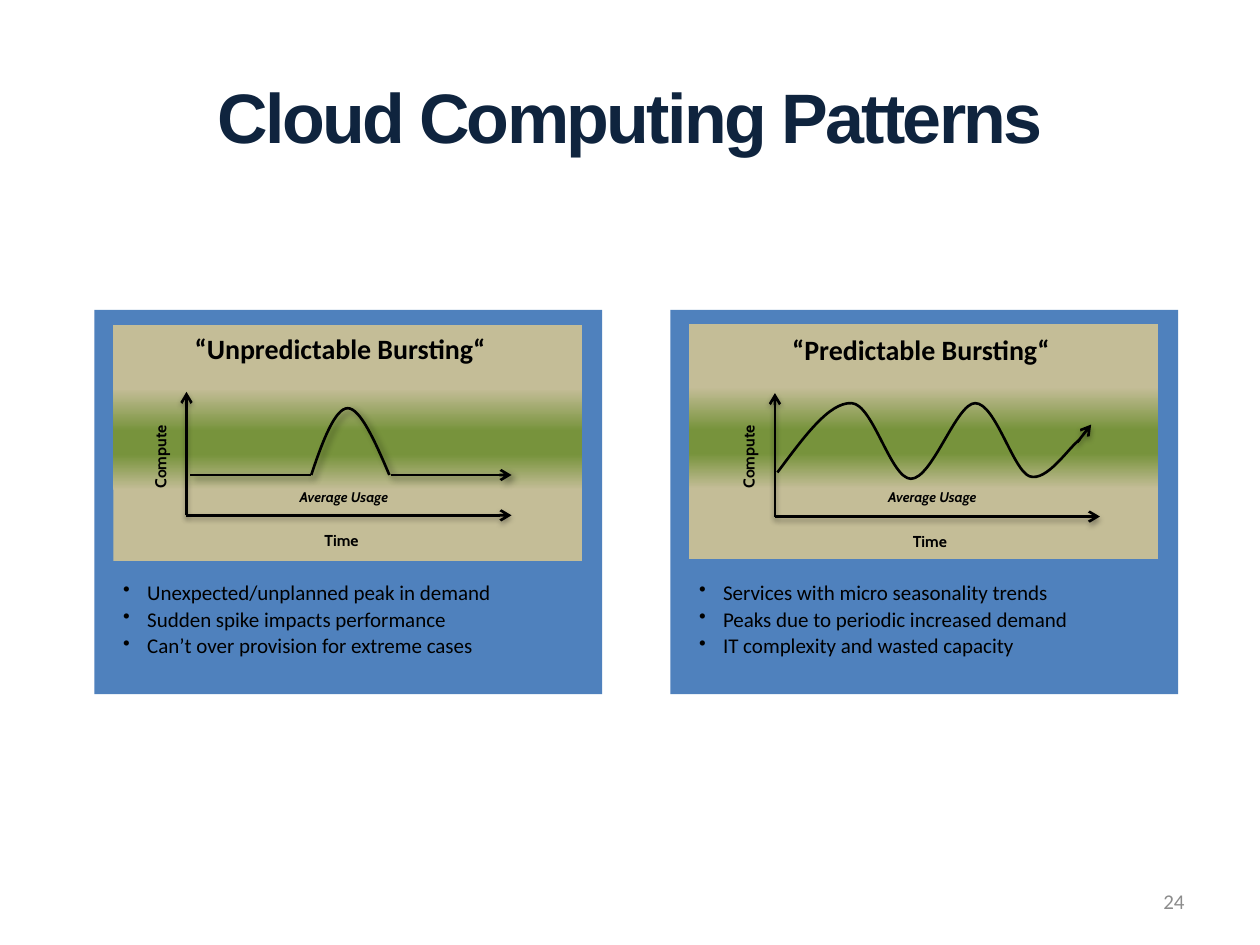
from lxml.etree import SubElement
from pptx import Presentation
from pptx.dml.color import RGBColor
from pptx.enum.shapes import MSO_CONNECTOR, MSO_SHAPE
from pptx.enum.text import MSO_ANCHOR, MSO_AUTO_SIZE, PP_ALIGN
from pptx.oxml.ns import qn
from pptx.util import Inches, Pt

STRAIGHT = MSO_CONNECTOR.STRAIGHT
RECTANGLE, ROUNDED = MSO_SHAPE.RECTANGLE, MSO_SHAPE.ROUNDED_RECTANGLE
MIDDLE = MSO_ANCHOR.MIDDLE
GROW = MSO_AUTO_SIZE.SHAPE_TO_FIT_TEXT
LEFT, CENTER, RIGHT = PP_ALIGN.LEFT, PP_ALIGN.CENTER, PP_ALIGN.RIGHT

BLACK = RGBColor(0x00, 0x00, 0x00)
WHITE = RGBColor(0xFF, 0xFF, 0xFF)
NAVY = RGBColor(0x0F, 0x24, 0x3E)
BLUE = RGBColor(0x4F, 0x81, 0xBD)
TAN = RGBColor(0xC4, 0xBD, 0x97)
GREEN = RGBColor(0x77, 0x93, 0x3C)
GRAY = RGBColor(0x8C, 0x8C, 0x8C)

USAGE_BAND = [(0, TAN), (30, TAN), (45, GREEN), (55, GREEN), (73, TAN), (100, TAN)]
AXIS_SHADOW = {"alpha": 35, "blur": 3.1, "dist": 1.8, "dir": 90}
BURST_SHADOW = {"alpha": 40, "blur": 4, "dist": 3, "dir": 45}

TITLE = {
    "frame": {"vertical_anchor": MIDDLE},
    "paragraph": {"alignment": CENTER},
    "font": {"name": "Arial", "size": Pt(40), "bold": True},
    "color": NAVY,
}
HEADING = {
    "frame": {"margin_left": 0, "margin_right": 0, "auto_size": GROW},
    "paragraph": {"alignment": CENTER, "line_spacing": 0.9},
    "font": {"name": "Calibri", "size": Pt(16), "bold": True},
}
AXIS_LABEL = {
    "frame": {"auto_size": GROW},
    "paragraph": {"alignment": CENTER, "line_spacing": Pt(8)},
    "font": {"name": "Cabin", "size": Pt(9), "bold": True},
}
USAGE_LABEL = {
    "frame": {"margin_left": 0, "margin_right": 0, "margin_top": 0, "margin_bottom": 0},
    "paragraph": {"alignment": CENTER},
    "font": {"name": "Cabin", "size": Pt(8), "bold": True, "italic": True},
}
BULLETS = {
    "frame": {"auto_size": GROW},
    "paragraph": {"alignment": LEFT, "line_spacing": 0.9, "level": 1},
    "font": {"name": "Calibri", "size": Pt(12)},
    "bullet": "•",
    "gap": Pt(2.4),
}
PAGE_NUMBER = {
    "frame": {"vertical_anchor": MIDDLE},
    "paragraph": {"alignment": RIGHT},
    "font": {"name": "Calibri", "size": Pt(12)},
    "color": GRAY,
}

PATTERNS = [
    {
        "card": 0.75, "band_top": 2.58, "origin": (1.48, 4.09),
        "heading": ("“Unpredictable Bursting“", (1.24, 2.61, 2.92, 0.34)),
        "bullets": ["Unexpected/unplanned peak in demand",
                    "Sudden spike impacts performance",
                    "Can’t over provision for extreme cases"],
        "lines": [((3.1, 3.77), (4.06, 3.77), True), ((1.51, 3.77), (2.47, 3.77), False)],
        "line_shadow": BURST_SHADOW, "curve_shadow": BURST_SHADOW,
        "curve": [(2.47, 3.77), (2.56, 3.5), (2.66, 3.24), (2.76, 3.24),
                  (2.86, 3.24), (2.98, 3.51), (3.09, 3.77)],
    },
    {
        "card": 5.32, "band_top": 2.57, "origin": (6.15, 4.1),
        "heading": ("“Predictable Bursting“", (5.75, 2.62, 3.12, 0.34)),
        "bullets": ["Services with micro seasonality trends",
                    "Peaks due to periodic increased demand",
                    "IT complexity and wasted capacity"],
        "lines": [((8.55, 3.51), (8.66, 3.37), True)],
        "line_shadow": AXIS_SHADOW, "curve_shadow": None,
        "curve": [(6.17, 3.75), (6.38, 3.47), (6.58, 3.19), (6.76, 3.2),
                  (6.93, 3.21), (7.07, 3.8), (7.23, 3.8),
                  (7.4, 3.8), (7.59, 3.2), (7.74, 3.2),
                  (7.9, 3.2), (8.04, 3.73), (8.17, 3.78),
                  (8.31, 3.83), (8.49, 3.54), (8.57, 3.49)],
    },
]


def apply(target, values):
    for name, value in values.items():
        setattr(target, name, value)


def add_color(parent, color, alpha=100):
    tint = SubElement(parent, qn("a:srgbClr"), val=str(color))
    if alpha < 100:
        SubElement(tint, qn("a:alpha"), val=str(alpha * 1000))


class SlideBuilder:
    """Draws styled elements on the current slide."""

    def __init__(self, slide, ink=BLACK, stroke=Pt(1.5)):
        self.slide, self.ink, self.stroke = slide, ink, stroke

    def text(self, box, lines, style, rotation=0):
        label = self.slide.shapes.add_textbox(*map(Inches, box))
        label.rotation = rotation
        frame = label.text_frame
        frame.word_wrap = True
        apply(frame, style["frame"])
        for index, line in enumerate(lines):
            paragraph = frame.paragraphs[0] if index == 0 else frame.add_paragraph()
            if "bullet" in style:
                properties = paragraph._p.get_or_add_pPr()
                properties.set("marL", str(Inches(0.19)))
                properties.set("indent", str(-Inches(0.19)))
                SubElement(properties, qn("a:buSzPct"), val="95000")
                SubElement(properties, qn("a:buChar"), char=style["bullet"])
            apply(paragraph, style["paragraph"])
            if index and "gap" in style:
                paragraph.space_before = style["gap"]
            run = paragraph.add_run()
            run.text = line
            apply(run.font, style["font"])
            run.font.color.rgb = style.get("color", self.ink)
        return label

    def title(self, box, words):
        run = self.text(box, [words], TITLE).text_frame.paragraphs[0].runs[0]
        properties = run._r.get_or_add_rPr()
        properties.set("spc", "-150")
        outline = SubElement(properties, qn("a:ln"), w=str(Pt(0.75)))
        add_color(SubElement(outline, qn("a:solidFill")), WHITE, 60)
        properties.insert(0, outline)

    def block(self, kind, box):
        block = self.slide.shapes.add_shape(kind, *map(Inches, box))
        block.shadow.inherit = False
        block.line.fill.background()
        return block

    def card(self, box):
        card = self.block(ROUNDED, box)
        card.adjustments[0] = 0
        card.fill.solid()
        card.fill.fore_color.rgb = BLUE

    def band(self, box, stops):
        band = self.block(RECTANGLE, box)
        band.fill.gradient()
        band.fill.gradient_angle = 90
        stop_list = band._element.spPr.find(".//" + qn("a:gsLst"))
        for old_stop in list(stop_list):
            stop_list.remove(old_stop)
        for position, color in stops:
            add_color(SubElement(stop_list, qn("a:gs"), pos=str(position * 1000)), color)

    def ink_line(self, shape, shadow, arrow=False):
        shape.line.color.rgb = self.ink
        shape.line.width = self.stroke
        properties = shape._element.spPr
        if arrow:
            SubElement(properties.find(qn("a:ln")), qn("a:tailEnd"), type="arrow")
        effects = SubElement(properties, qn("a:effectLst"))
        if shadow:
            outer = SubElement(effects, qn("a:outerShdw"), blurRad=str(Pt(shadow["blur"])),
                               dist=str(Pt(shadow["dist"])), dir=str(shadow["dir"] * 60000))
            add_color(outer, BLACK, shadow["alpha"])

    def line(self, start, end, shadow, arrow=True):
        connector = self.slide.shapes.add_connector(STRAIGHT, *map(Inches, start + end))
        self.ink_line(connector, shadow, arrow)

    def curve(self, points, shadow):
        start, *controls = [tuple(map(Inches, point)) for point in points]
        builder = self.slide.shapes.build_freeform(*start)
        builder.add_line_segments(controls, close=False)
        curve = builder.convert_to_shape()
        outline = curve._element.find(".//" + qn("a:path"))
        segments = outline.findall(qn("a:lnTo"))
        for first in range(0, len(segments), 3):
            bezier = SubElement(outline, qn("a:cubicBezTo"))
            for segment in segments[first:first + 3]:
                bezier.append(segment[0])
                outline.remove(segment)
        curve.fill.background()
        self.ink_line(curve, shadow)

    def pattern(self, pattern):
        left = pattern["card"]
        x, y = pattern["origin"]
        self.card((left, 2.46, 4.03, 3.05))
        self.band((left + 0.15, pattern["band_top"], 3.72, 1.87), USAGE_BAND)
        for end in ((x, y - 0.98), (x + 2.58, y)):
            self.line((x, y), end, AXIS_SHADOW)
        self.text((x - 0.57, 3.52, 0.76, 0.21), ["Compute"], AXIS_LABEL, 270)
        self.text((x + 0.87, y + 0.11, 0.72, 0.22), ["Time"], AXIS_LABEL)
        self.text((x + 0.78, 3.88, 0.94, 0.15), ["Average Usage"], USAGE_LABEL)
        heading, box = pattern["heading"]
        self.text(box, [heading], HEADING)
        self.text((left + 0.13, 4.57, 4, 0.73), pattern["bullets"], BULLETS)
        for start, end, arrow in pattern["lines"]:
            self.line(start, end, pattern["line_shadow"], arrow)
        self.curve(pattern["curve"], pattern["curve_shadow"])


def main():
    deck = Presentation()
    deck.slide_width, deck.slide_height = Inches(10), Inches(7.5)
    builder = SlideBuilder(deck.slides.add_slide(deck.slide_layouts[6]))
    builder.title((0.25, 0.42, 9.5, 1), "Cloud Computing Patterns")
    for pattern in PATTERNS:
        builder.pattern(pattern)
    builder.text((7.17, 6.95, 2.33, 0.4), ["24"], PAGE_NUMBER)
    deck.save("out.pptx")


if __name__ == "__main__":
    main()
